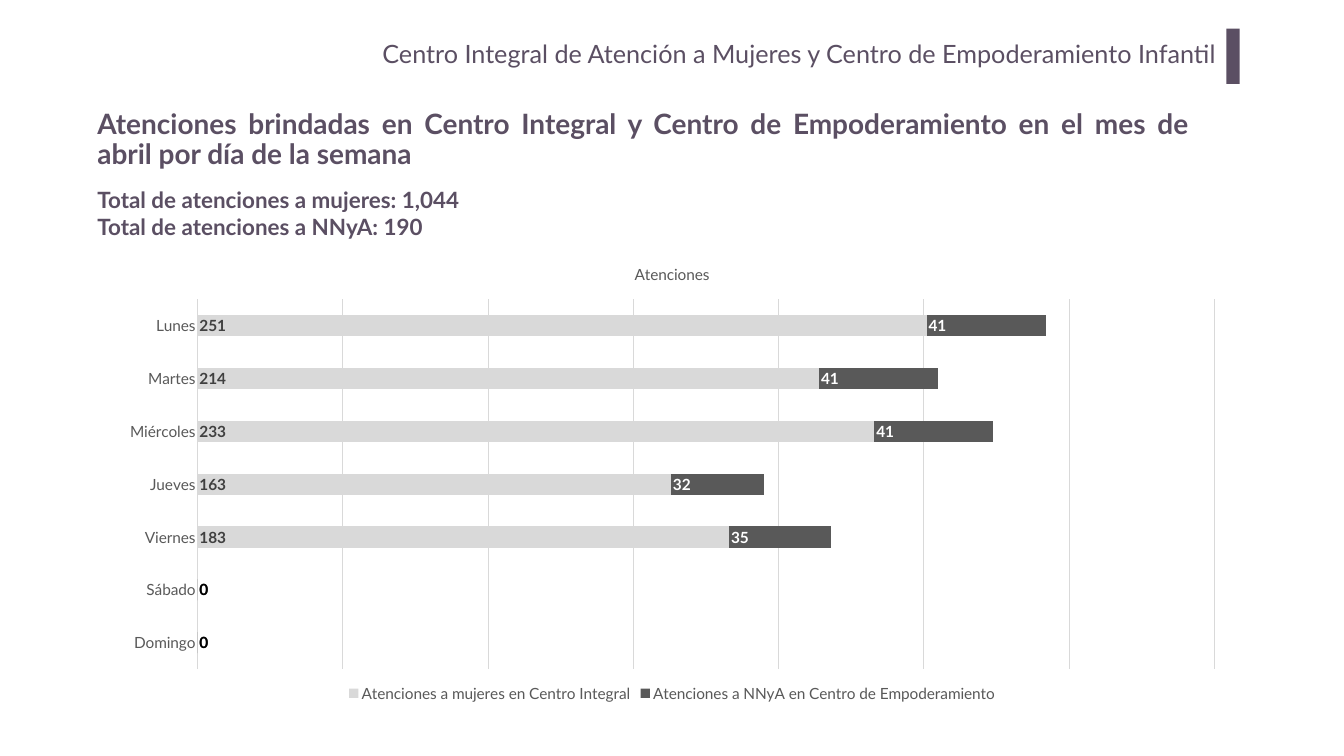
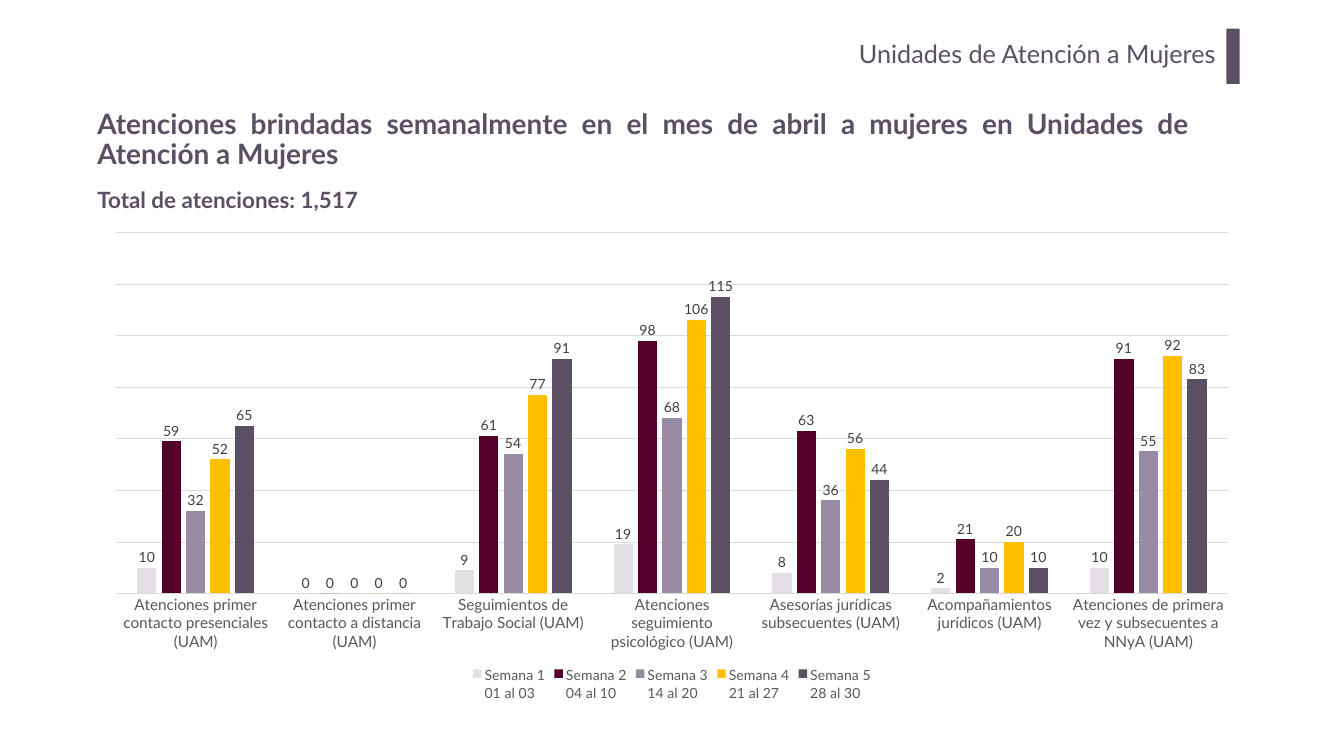
import pptx
import pptx.chart.data
import pptx.dml.color
import pptx.enum.chart
import pptx.enum.shapes
import pptx.enum.text
import pptx.oxml
import pptx.oxml.ns
import pptx.util

Pt = pptx.util.Pt
RGBColor = pptx.dml.color.RGBColor
PP_ALIGN = pptx.enum.text.PP_ALIGN
XL_CHART_TYPE = pptx.enum.chart.XL_CHART_TYPE
XL_LABEL_POSITION = pptx.enum.chart.XL_LABEL_POSITION
qn = pptx.oxml.ns.qn

# Shared style
FONT = "Lato"
PLUM = RGBColor(0x5B, 0x4F, 0x63)
LILAC = RGBColor(0x99, 0x8B, 0xA3)
MIST = RGBColor(0xE3, 0xDF, 0xE5)
WINE = RGBColor(0x54, 0x00, 0x2A)
AMBER = RGBColor(0xFF, 0xC0, 0x00)
LIGHT = RGBColor(0xD9, 0xD9, 0xD9)
GREY = RGBColor(0x59, 0x59, 0x59)
CHARCOAL = RGBColor(0x40, 0x40, 0x40)
WHITE = RGBColor(0xFF, 0xFF, 0xFF)
BLACK = RGBColor(0x00, 0x00, 0x00)


def set_font(font, size, color, bold=False):
    font.name = FONT
    font.size = Pt(size)
    font.bold = bold
    font.color.rgb = color


class Deck:
    """Holds the presentation, its style and the current slide."""

    def __init__(self):
        self.prs = pptx.Presentation()
        self.prs.slide_width, self.prs.slide_height = Pt(1920), Pt(1080)
        self.slide = None

    def text(self, box, lines, size, bold=False, align=PP_ALIGN.LEFT,
             inset=(7.2, 3.6), spacing=None):
        tf = self.slide.shapes.add_textbox(*map(Pt, box)).text_frame
        tf.word_wrap = True
        tf.margin_left = tf.margin_right = Pt(inset[0])
        tf.margin_top = tf.margin_bottom = Pt(inset[1])
        tf.text = "\n".join(lines)
        for p in tf.paragraphs:
            p.alignment = align
            if spacing:
                p.line_spacing = spacing
            set_font(p.font, size, PLUM, bold)
        return tf

    def bar(self, box):
        sp = self.slide.shapes.add_shape(
            pptx.enum.shapes.MSO_SHAPE.RECTANGLE, *map(Pt, box))
        sp.shadow.inherit = False
        sp.fill.solid()
        sp.fill.fore_color.rgb = PLUM
        sp.line.fill.background()

    def new_slide(self, section, heading, totals, totals_width):
        self.slide = self.prs.slides.add_slide(self.prs.slide_layouts[6])
        # Section band
        self.text((289, 48, 1462, 73), [section], 36, align=PP_ALIGN.RIGHT,
                  inset=(14.4, 7.2))
        self.bar((1752, 41, 19, 79))
        # Heading and totals
        tf = self.text((132, 149, 1573, 104), [heading], 40, bold=True,
                       align=PP_ALIGN.JUSTIFY, spacing=0.9)
        tf.vertical_anchor = pptx.enum.text.MSO_ANCHOR.MIDDLE
        tf = self.text((132, 263, totals_width, 7.2 + 38.6 * len(totals)),
                       totals, 32, bold=True)
        tf.auto_size = pptx.enum.text.MSO_AUTO_SIZE.SHAPE_TO_FIT_TEXT

    def chart(self, box, kind, categories, series, label_position, label_size,
              label_bold, legend_size, gap, overlap, top, step, plot_area,
              title=None):
        """Each series is (name, values, fill colour, label colour)."""
        data = pptx.chart.data.CategoryChartData()
        data.categories = categories
        for name, values, _, _ in series:
            data.add_series(name, values)
        chart = self.slide.shapes.add_chart(kind, *map(Pt, box), data).chart
        set_font(chart.font, 22, GREY)

        # Title and legend
        chart.has_title = title is not None
        if title:
            tf = chart.chart_title.text_frame
            tf.text = title
            set_font(tf.paragraphs[0].font, 22, GREY)
        chart.has_legend = True
        chart.legend.position = pptx.enum.chart.XL_LEGEND_POSITION.BOTTOM
        chart.legend.include_in_layout = False
        set_font(chart.legend.font, legend_size, GREY)

        # Axes
        cat, val = chart.category_axis, chart.value_axis
        cat.major_tick_mark = pptx.enum.chart.XL_TICK_MARK.NONE
        set_font(cat.tick_labels.font, 22, GREY)
        val.visible = False
        val.minimum_scale, val.maximum_scale, val.major_unit = 0, top, step
        val.has_major_gridlines = True
        for axis_format in (cat.format, val.major_gridlines.format):
            axis_format.line.color.rgb = LIGHT
            axis_format.line.width = Pt(0.75)

        # Bars and labels
        plot = chart.plots[0]
        plot.vary_by_categories = False
        plot.gap_width, plot.overlap = gap, overlap
        for s, (_, _, fill, label_color) in zip(plot.series, series):
            s.format.fill.solid()
            s.format.fill.fore_color.rgb = fill
            s.invert_if_negative = False
            labels = s.data_labels
            labels.show_value = True
            labels.position = label_position
            set_font(labels.font, label_size, label_color, label_bold)

        self.place_plot(chart, plot_area)
        return chart

    def place_plot(self, chart, plot_area):
        """Fix the inner plot area, as fractions of the chart."""
        area = chart.element.find(".//" + qn("c:plotArea"))
        for old in area.findall(qn("c:layout")):
            area.remove(old)
        settings = [("layoutTarget", "inner"), ("xMode", "edge"),
                    ("yMode", "edge"), *zip("xywh", plot_area)]
        tags = "".join(f'<c:{tag} val="{v}"/>' for tag, v in settings)
        area.insert(0, pptx.oxml.parse_xml(
            f'<c:layout {pptx.oxml.ns.nsdecls("c")}>'
            f'<c:manualLayout>{tags}</c:manualLayout></c:layout>'))


def add_days_slide(deck):
    deck.new_slide(
        "Centro Integral de Atención a Mujeres y Centro de Empoderamiento Infantil",
        "Atenciones brindadas en Centro Integral y Centro de Empoderamiento "
        "en el mes de abril por día de la semana",
        ["Total de atenciones a mujeres: 1,044",
         "Total de atenciones a NNyA: 190"], 585)
    days = ["Domingo", "Sábado", "Viernes", "Jueves", "Miércoles", "Martes",
            "Lunes"]
    children = [0, 0, 35, 32, 41, 41, 41]
    chart = deck.chart(
        (153, 356, 1614, 652), XL_CHART_TYPE.BAR_STACKED, days,
        [("Atenciones a mujeres en Centro Integral",
          [0, 0, 183, 163, 233, 214, 251], LIGHT, CHARCOAL),
         ("Atenciones a NNyA en Centro de Empoderamiento",
          children, GREY, WHITE)],
        XL_LABEL_POSITION.INSIDE_BASE, label_size=22, label_bold=True,
        legend_size=22, gap=150, overlap=100, top=350, step=50,
        plot_area=(0.08, 0.11, 0.9, 0.81), title="Atenciones")
    # White labels would vanish where there is no bar
    for i, value in enumerate(children):
        if value == 0:
            label = chart.plots[0].series[1].points[i].data_label
            set_font(label.font, 22, BLACK, True)
            label.position = XL_LABEL_POSITION.INSIDE_BASE


def add_weeks_slide(deck):
    deck.new_slide(
        "Unidades de Atención a Mujeres",
        "Atenciones brindadas semanalmente en el mes de abril a mujeres "
        "en Unidades de Atención a Mujeres",
        ["Total de atenciones: 1,517"], 406)
    services = ["Atenciones primer contacto presenciales",
                "Atenciones primer contacto a distancia",
                "Seguimientos de Trabajo Social",
                "Atenciones seguimiento psicológico",
                "Asesorías jurídicas subsecuentes",
                "Acompañamientos jurídicos",
                "Atenciones de primera vez y subsecuentes a NNyA"]
    weeks = [("01 al 03", [10, 0, 9, 19, 8, 2, 10], MIST),
             ("04 al 10", [59, 0, 61, 98, 63, 21, 91], WINE),
             ("14 al 20", [32, 0, 54, 68, 36, 10, 55], LILAC),
             ("21 al 27", [52, 0, 77, 106, 56, 20, 92], AMBER),
             ("28 al 30", [65, 0, 91, 115, 44, 10, 83], PLUM)]
    deck.chart(
        (133, 318, 1654, 688), XL_CHART_TYPE.COLUMN_CLUSTERED,
        [f"{service} (UAM)" for service in services],
        [(f"Semana {n}\n{dates}", values, fill, CHARCOAL)
         for n, (dates, values, fill) in enumerate(weeks, 1)],
        XL_LABEL_POSITION.OUTSIDE_END, label_size=20, label_bold=False,
        legend_size=20, gap=219, overlap=-27, top=140, step=20,
        plot_area=(0.02, 0.02, 0.96, 0.75))


def main():
    deck = Deck()
    add_days_slide(deck)
    add_weeks_slide(deck)
    deck.prs.save("out.pptx")


if __name__ == "__main__":
    main()
